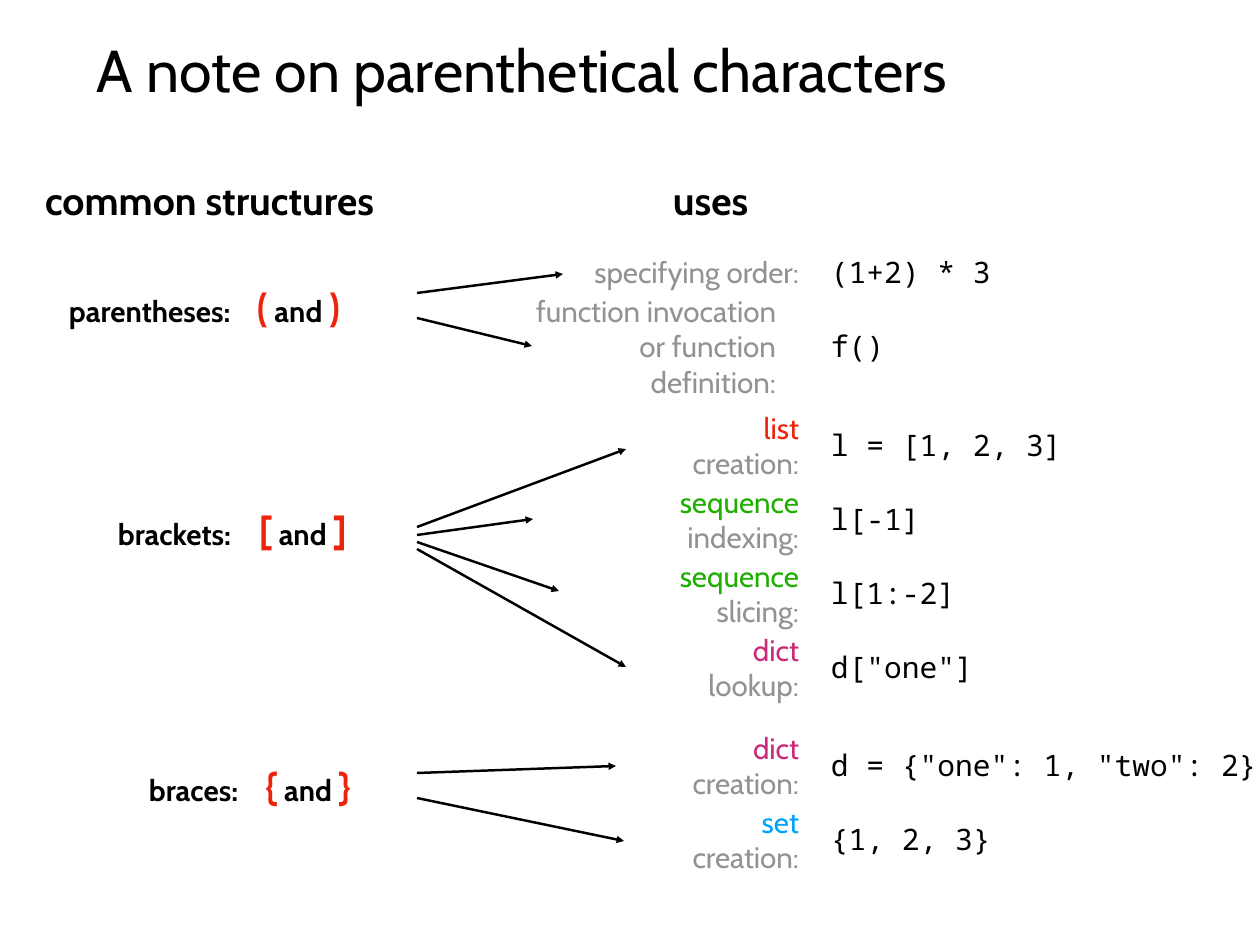
from lxml import etree
from pptx import Presentation
from pptx.dml.color import RGBColor
from pptx.enum.shapes import MSO_CONNECTOR
from pptx.enum.text import MSO_ANCHOR, MSO_AUTO_SIZE, PP_ALIGN
from pptx.oxml.ns import qn
from pptx.util import Pt

LEFT, RIGHT = PP_ALIGN.LEFT, PP_ALIGN.RIGHT
MIDDLE, FIXED = MSO_ANCHOR.MIDDLE, MSO_AUTO_SIZE.NONE
STRAIGHT = MSO_CONNECTOR.STRAIGHT

SCALE = 10320
WIDE, HIGH = 1260, 945
INSET = 5
STEP = 74
CODE_X, USE_END, ARROW_X = 826, 804, 417
SANS, MONO = "Cabin", "Noto Sans Mono"
BLACK, GRAY, RED = "000000", "929292", "EE230C"
GREEN, PINK, BLUE = "1EB001", "CB2A7A", "00A2FF"

TITLE = {"size": Pt(48), "name": SANS, "bold": False}
HEAD = {"size": Pt(32), "name": SANS, "bold": True}
NAME = {"size": Pt(24), "name": SANS, "bold": True}
USE = {"size": Pt(24), "name": SANS, "bold": False}
CODE = {"size": Pt(24), "name": MONO, "bold": False}
FRAME = {"word_wrap": True, "auto_size": FIXED, "vertical_anchor": MIDDLE,
         "margin_left": INSET * SCALE, "margin_right": INSET * SCALE,
         "margin_top": INSET * SCALE, "margin_bottom": INSET * SCALE}

# Each use: kind, kind colour, role, label left, label right, code, arrow start y, arrow tip
GROUPS = [
    {"name": "parentheses:", "marks": "()", "box": (64, 278, 339, 57), "tab": 188, "top": 272,
     "uses": [("", GRAY, "specifying order:", 579, USE_END, "(1+2) * 3", 293, (563, 274)),
              ("", GRAY, "function invocation|or function definition:", 520, 781, "f()",
               318, (532, 346))]},
    {"name": "brackets:", "marks": "[]", "box": (113, 501, 291, 57), "tab": 141, "top": 445,
     "uses": [("list", RED, "creation:", 646, USE_END, "l = [1, 2, 3]", 527, (626, 449)),
              ("sequence", GREEN, "indexing:", 568, USE_END, "l[-1]", 535, (533, 519)),
              ("sequence", GREEN, "slicing:", 596, USE_END, "l[1:-2]", 542, (559, 591)),
              ("dict", PINK, "lookup:", 651, USE_END, 'd["one"]', 549, (626, 667))]},
    {"name": "braces:", "marks": "{}", "box": (144, 757, 254, 57), "tab": 116, "top": 765,
     "uses": [("dict", PINK, "creation:", 635, USE_END, 'd = {"one": 1, "two": 2}',
               773, (616, 766)),
              ("set", BLUE, "creation:", 644, USE_END, "{1, 2, 3}", 798, (624, 841))]},
]


def color(code):
    """Turn a hex string into a colour."""
    return RGBColor.from_string(code)


def apply(item, form):
    """Set each attribute in a dict of format values."""
    for key, value in form.items():
        setattr(item, key, value)


def place(shape, box):
    """Move a shape to a box given in px."""
    apply(shape, dict(zip(("left", "top", "width", "height"), (n * SCALE for n in box))))


def write(para, runs, align=LEFT):
    """Fill a paragraph with runs of words, format and colour; None breaks the line."""
    para.alignment = align
    for part in runs:
        if part is None:
            para.add_line_break()
            continue
        words, form, shade = part
        run = para.add_run()
        run.text = words
        apply(run.font, form)
        run.font.color.rgb = color(shade)


def label(slide, box, lines, align=LEFT, form=FRAME):
    """Add a text box with one paragraph per line and return its frame."""
    shape = slide.shapes.add_textbox(0, 0, 0, 0)
    place(shape, box)
    frame = shape.text_frame
    apply(frame, form)
    for i, runs in enumerate(lines):
        write(frame.add_paragraph() if i else frame.paragraphs[0], runs, align)
    return frame


def arrow(slide, start, tip):
    """Draw a black arrow between two points."""
    ends = [n * SCALE for n in (*start, *tip)]
    line = slide.shapes.add_connector(STRAIGHT, *ends)
    line.line.width = Pt(2)
    line.line.color.rgb = color(BLACK)
    etree.SubElement(line.line._get_or_add_ln(), qn("a:tailEnd"), type="triangle")
    etree.SubElement(line._element.spPr, qn("a:effectLst"))


def header(slide, box):
    """Fill the title and the two column heads below it."""
    title = slide.shapes.title
    place(title, box)
    apply(title.text_frame, FRAME)
    write(title.text_frame.paragraphs[0], [("A note on parenthetical characters", TITLE, BLACK)])
    for words, x, wide in (("common structures", 40, 401), ("uses", 668, 97)):
        label(slide, (x, box[1] + 146, wide, 57), [[(words, HEAD, BLACK)]])


def marks(slide, box, group):
    """Show the name of a structure and its pair of characters."""
    first, last = group["marks"]
    frame = label(slide, box, [[(group["name"] + "\t", NAME, BLACK), (first, HEAD, RED),
                                (" and ", NAME, BLACK), (last, HEAD, RED)]])
    tabs = etree.SubElement(frame.paragraphs[0]._p.get_or_add_pPr(), qn("a:tabLst"))
    etree.SubElement(tabs, qn("a:tab"), pos=str(group["tab"] * SCALE), algn="l")


def usage(slide, mid, use):
    """Place one use, its code and its arrow around a middle line."""
    kind, shade, role, left, right, code, start, tip = use
    lines = [[(words, USE, GRAY)] for words in role.split("|")]
    if kind:
        lines[0][:0] = [(kind, USE, shade), None]
    high = 44 if len(lines) == 1 else 82
    label(slide, (left, mid - high // 2, right - left, high), lines, RIGHT)
    wide = min(18 * len(code) + 10, WIDE - CODE_X)
    label(slide, (CODE_X, mid - 23, wide, 46), [[(code, CODE, BLACK)]],
          form={**FRAME, "margin_right": 0})
    arrow(slide, (ARROW_X, start), tip)


def main():
    """Build the slide and save it."""
    deck = Presentation()
    apply(deck, {"slide_width": WIDE * SCALE, "slide_height": HIGH * SCALE})
    slide = deck.slides.add_slide(deck.slide_layouts[5])
    header(slide, (92, 25, 1076, 88))
    for group in GROUPS:
        marks(slide, group["box"], group)
        for i, use in enumerate(group["uses"]):
            usage(slide, group["top"] + i * STEP, use)
    deck.save("out.pptx")


if __name__ == "__main__":
    main()
